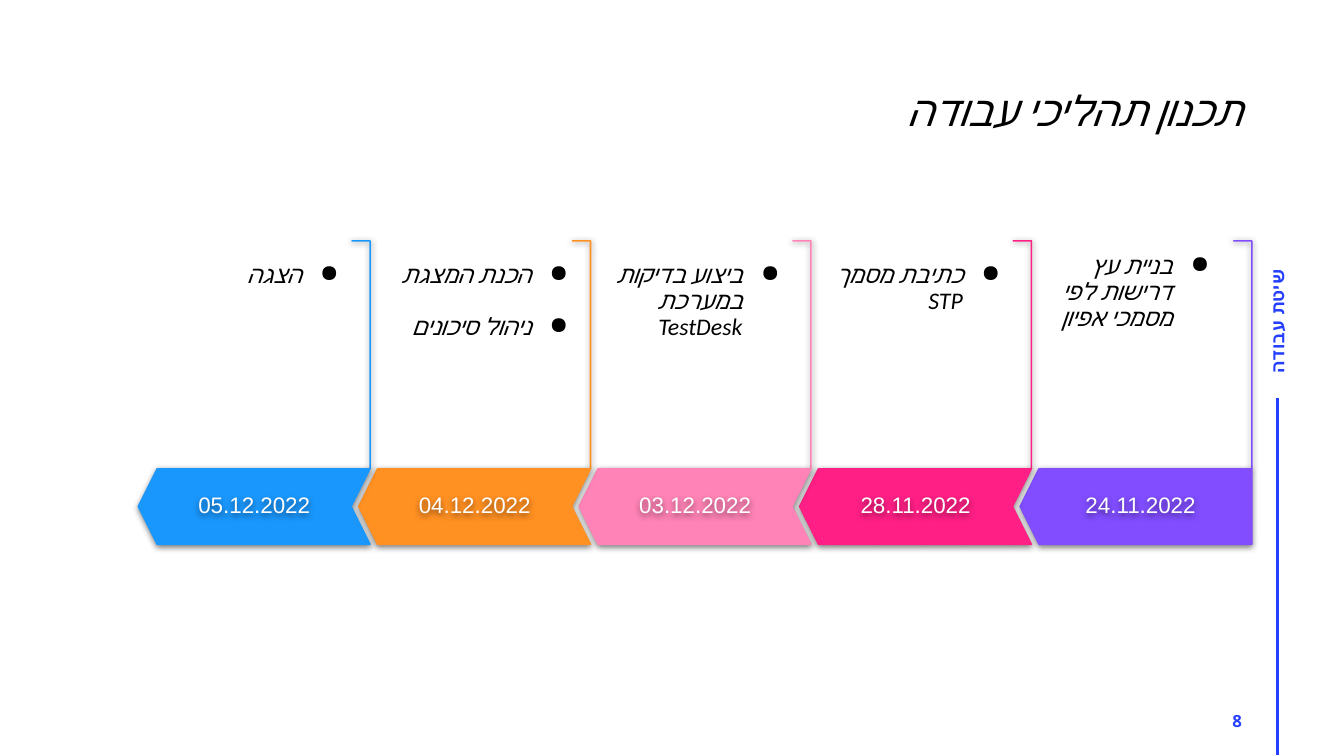
from dataclasses import dataclass

from lxml.etree import SubElement
from pptx import Presentation
from pptx.dml.color import RGBColor
from pptx.enum.shapes import MSO_CONNECTOR, MSO_SHAPE
from pptx.enum.text import MSO_ANCHOR as Anchor, MSO_AUTO_SIZE as AutoSize, PP_ALIGN as Align
from pptx.oxml.ns import qn
from pptx.util import Emu, Inches, Pt

COLORS = {
    "violet": "814DFF", "magenta": "FF1F85", "pink": "FF83B6", "orange": "FF9022",
    "sky": "1A97FC", "accent": "243FFF", "ink": "000000", "paper": "FFFFFF",
}

# Grid of square cells, ten to the inch
WIDTH, HEIGHT = 133.33, 75
ARROW_LEFT, ARROW_TOP, ARROW_WIDTH, ARROW_HEIGHT = 101.2, 46.5, 23, 7.5
STEP_PITCH = 21.87
BRACKET_HEIGHT, BRACKET_WIDTH = 22.6, 1.8
LABEL_HEIGHT = 10.2


def cells(count: float) -> Emu:
    return Inches(count / 10)


@dataclass(frozen=True)
class Area:
    left: float
    top: float
    width: float
    height: float

    def emu(self) -> tuple:
        return tuple(cells(n) for n in (self.left, self.top, self.width, self.height))


@dataclass(frozen=True)
class Style:
    size: float
    color: str
    font: str = "Open Sans"
    complex_font: str = "Open Sans"
    bold: bool = False
    italic: bool = False
    align: Align = Align.RIGHT
    rtl: bool = False


@dataclass(frozen=True)
class Step:
    date: str
    color: str
    tasks: tuple
    shape: MSO_SHAPE = MSO_SHAPE.CHEVRON
    date_shift: float = 0
    label_left: float = 2.5
    label_top: float = 26.1
    label_width: float = 18.7


TITLE = Style(30, "ink", "Calibri", "Calibri", italic=True, rtl=True)
TASK = Style(17, "ink", "Calibri", "Calibri", italic=True, rtl=True)
DATE = Style(16, "paper", complex_font="Arial", align=Align.CENTER, rtl=True)
SECTION = Style(13, "accent", bold=True, align=Align.CENTER)
NUMBER = Style(12, "accent", bold=True)

STEPS = (
    Step("24.11.2022", "violet", ("בניית עץ דרישות לפי מסמכי אפיון",), MSO_SHAPE.PENTAGON,
         date_shift=0.45, label_left=3.4, label_top=25.2, label_width=16.7),
    Step("28.11.2022", "magenta", ("כתיבת מסמך STP",)),
    Step("03.12.2022", "pink", ("ביצוע בדיקות במערכת TestDesk",)),
    Step("04.12.2022", "orange", ("הכנת המצגת", "ניהול סיכונים"), label_left=3.4),
    Step("05.12.2022", "sky", ("הצגה",)),
)


def rgb(name: str) -> RGBColor:
    return RGBColor.from_string(COLORS[name])


def format_text(box, style: Style, anchor: Anchor = Anchor.MIDDLE) -> None:
    frame = box.text_frame
    frame.word_wrap = True
    frame.auto_size = AutoSize.NONE
    frame.vertical_anchor = anchor
    for para in frame.paragraphs:
        para.alignment = style.align
        if style.rtl:
            para.line_spacing = 0.9
            para._p.get_or_add_pPr().set("rtl", "1")
        for span in para.runs:
            font = span.font
            font.name, font.size = style.font, Pt(style.size)
            font.bold, font.italic = style.bold, style.italic
            font.color.rgb = rgb(style.color)
            SubElement(span._r.get_or_add_rPr(), qn("a:cs")).set("typeface", style.complex_font)


def add_text(page, area: Area, text: str, style: Style, anchor: Anchor = Anchor.MIDDLE):
    box = page.shapes.add_textbox(*area.emu())
    box.text_frame.text = text
    format_text(box, style, anchor)
    return box


def add_soft_shadow(shape) -> None:
    shape.shadow.inherit = False
    effects = shape._element.spPr.find(qn("a:effectLst"))
    shadow = SubElement(effects, qn("a:outerShdw"), blurRad=str(Pt(4.5)), dist=str(Pt(1.5)),
                        dir="5400000", algn="bl", rotWithShape="0")
    color = SubElement(shadow, qn("a:srgbClr"), val=COLORS["ink"])
    SubElement(color, qn("a:alpha"), val="50000")


def add_mirrored(page, kind: MSO_SHAPE, area: Area, fill: str, line: str, adjust: float) -> None:
    """Add a preset shape flipped left to right."""
    shape = page.shapes.add_shape(kind, *area.emu())
    for index in range(len(shape.adjustments)):
        shape.adjustments[index] = adjust
    shape.fill.solid()
    shape.fill.fore_color.rgb = rgb(fill)
    shape.line.color.rgb = rgb(line)
    shape.line.width = Pt(1)
    shape._element.spPr.xfrm.set("flipH", "1")
    add_soft_shadow(shape)


def add_tasks(page, area: Area, tasks: tuple) -> None:
    box = add_text(page, area, "\n".join(tasks), TASK, Anchor.TOP)
    frame = box.text_frame
    frame.margin_left = frame.margin_right = frame.margin_top = frame.margin_bottom = 0
    for index, para in enumerate(frame.paragraphs):
        para.space_before = Pt(18.7 if index else 0)
        props = para._p.get_or_add_pPr()
        props.set("marL", str(Inches(0.5)))
        props.set("indent", str(Inches(-0.37)))
        color = SubElement(props, qn("a:buClr"))
        SubElement(color, qn("a:srgbClr"), val=COLORS["ink"])
        SubElement(props, qn("a:buChar"), char="●")


def add_step(page, step: Step, left: float) -> None:
    bracket = Area(left + ARROW_WIDTH - BRACKET_WIDTH, ARROW_TOP - BRACKET_HEIGHT,
                   BRACKET_WIDTH, BRACKET_HEIGHT)
    add_mirrored(page, MSO_SHAPE.HALF_FRAME, bracket, "paper", step.color, 0.01)
    arrow = Area(left, ARROW_TOP, ARROW_WIDTH, ARROW_HEIGHT)
    add_mirrored(page, step.shape, arrow, step.color, step.color, 0.25)
    date_area = Area(left + step.date_shift, ARROW_TOP, ARROW_WIDTH, ARROW_HEIGHT)
    add_soft_shadow(add_text(page, date_area, step.date, DATE))
    add_tasks(page, Area(left + step.label_left, step.label_top, step.label_width, LABEL_HEIGHT),
              step.tasks)


def add_side_line(page) -> None:
    line = page.shapes.add_connector(
        MSO_CONNECTOR.STRAIGHT, cells(126.7), cells(39.5), cells(126.7), cells(74.9))
    line.line.color.rgb = rgb("accent")
    line.line.width = Pt(2)
    SubElement(line._element.spPr, qn("a:effectLst"))


def main() -> None:
    deck = Presentation()
    deck.slide_width, deck.slide_height = cells(WIDTH), cells(HEIGHT)
    page = deck.slides.add_slide(deck.slide_layouts[5])
    add_side_line(page)

    title = page.shapes.title
    title.left, title.top, title.width, title.height = Area(9.2, 4, 115, 14.5).emu()
    title.text_frame.text = "תכנון תהליכי עבודה"
    format_text(title, TITLE)

    for index, step in enumerate(STEPS):
        add_step(page, step, ARROW_LEFT - index * STEP_PITCH)

    add_text(page, Area(94.2, 69.5, 30, 4), "8", NUMBER)
    section = add_text(page, Area(119.6, 29.9, 14.2, 4), "שיטת עבודה", SECTION)
    section.rotation = 270
    deck.save("out.pptx")


if __name__ == "__main__":
    main()
